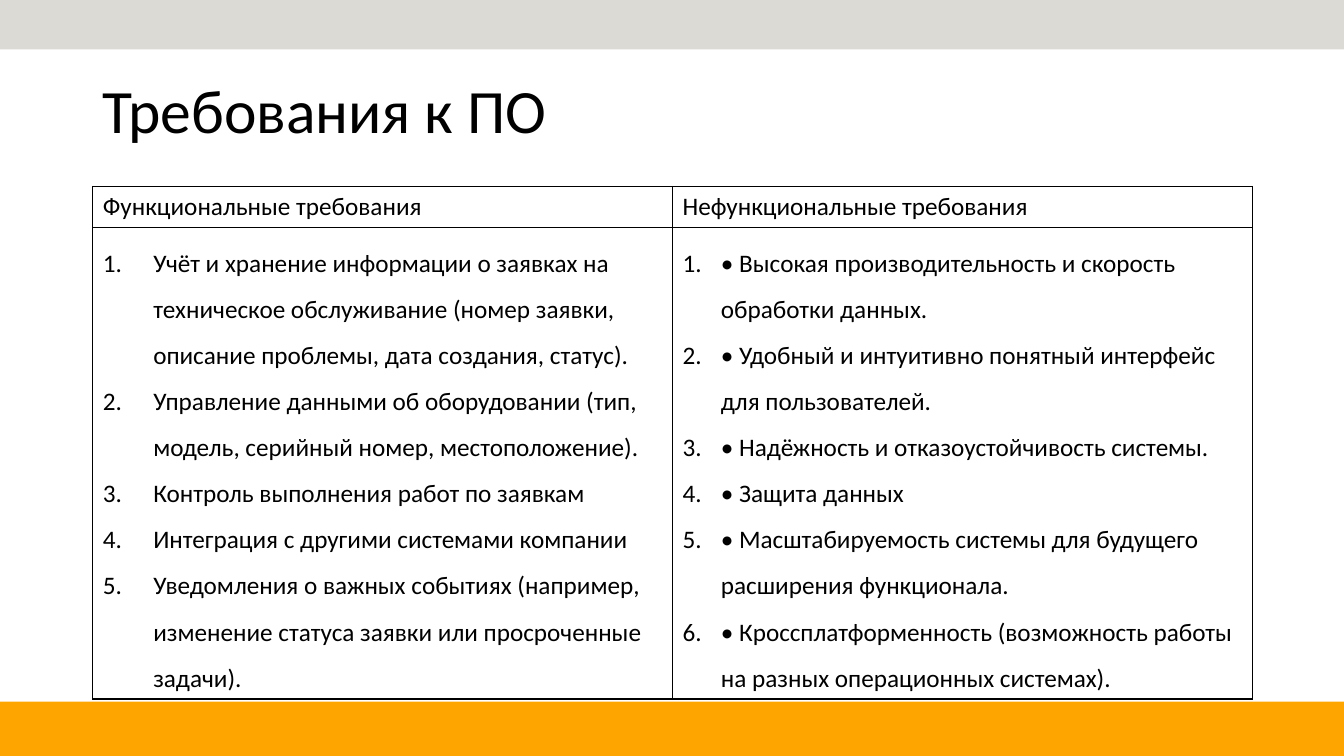
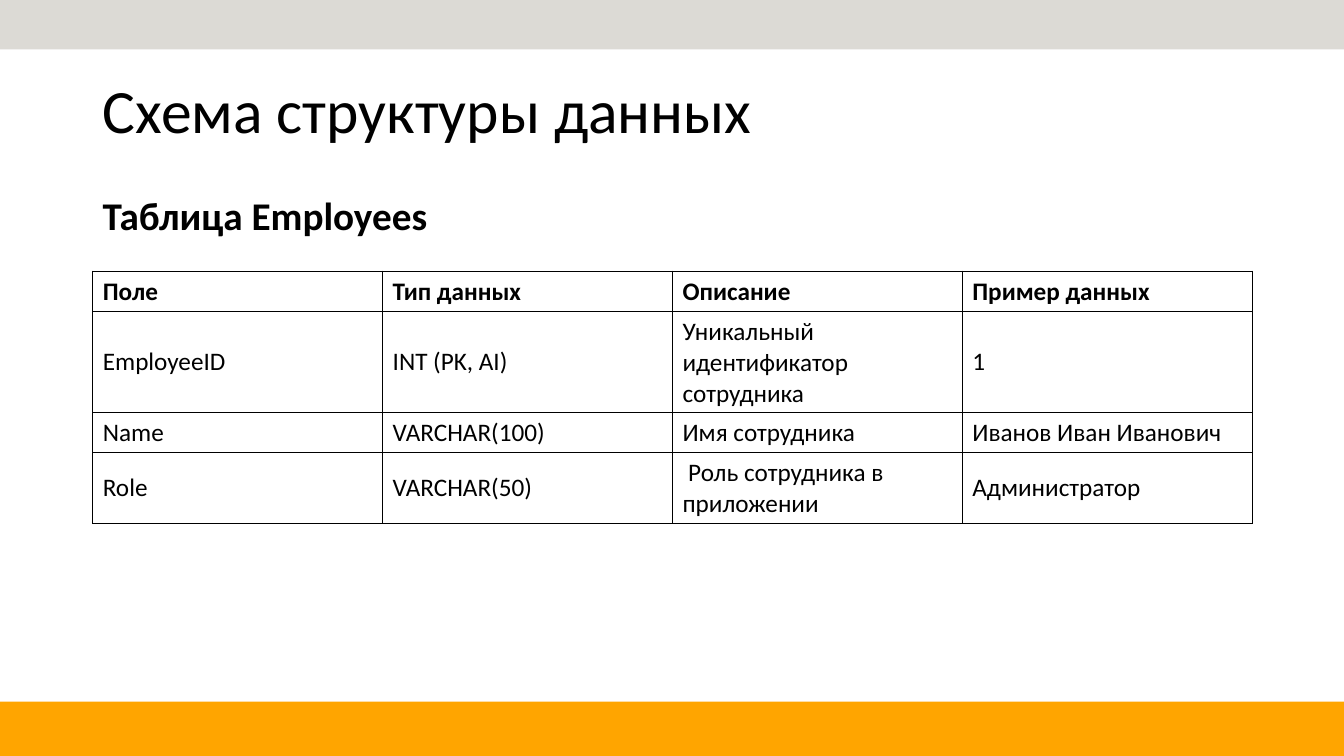
"""Build two slides with software requirements and a data table."""
from dataclasses import dataclass
from typing import Any

from lxml import etree
from pptx import Presentation
from pptx.dml.color import RGBColor
from pptx.enum.shapes import MSO_SHAPE
from pptx.enum.text import MSO_ANCHOR, MSO_AUTO_SIZE, PP_ALIGN
from pptx.oxml.ns import qn
from pptx.util import Inches, Pt

RECTANGLE = MSO_SHAPE.RECTANGLE
TOP, MIDDLE = MSO_ANCHOR.TOP, MSO_ANCHOR.MIDDLE
LEFT, JUSTIFY = PP_ALIGN.LEFT, PP_ALIGN.JUSTIFY
NO_AUTOFIT = MSO_AUTO_SIZE.NONE
TITLE_ONLY = 5

COLORS = {"text": "000000", "border": "000000", "header": "DCDAD5", "footer": "FFA500"}
SLIDE_WIDTH, SLIDE_HEIGHT = 13.33, 7.5
MARGIN, CONTENT_WIDTH = 0.92, 11.5

TITLE_FORMAT = {"name": "Calibri", "size": Pt(44), "bold": False}
HEADING_FORMAT = {"name": "Calibri", "size": Pt(28), "bold": True}
CELL_FORMAT = {"name": "Calibri", "size": Pt(18), "bold": False}
CELL_HEADER_FORMAT = CELL_FORMAT | {"bold": True}


@dataclass(frozen=True)
class Band:
    top: float
    height: float
    color: str


@dataclass(frozen=True)
class NumberedList:
    indent: float
    items: tuple[str, ...]


@dataclass(frozen=True)
class TableContent:
    top: float
    row_heights: tuple[float, ...]
    rows: tuple[tuple[str | NumberedList, ...], ...]
    anchor: Any
    header_format: dict[str, Any]


BANDS = (Band(6.96, 0.54, "footer"), Band(0, 0.49, "header"))

REQUIREMENTS = TableContent(
    top=1.85,
    row_heights=(0.41, 4.67),
    rows=(
        ("Функциональные требования", "Нефункциональные требования"),
        (
            NumberedList(0.5, (
                "Учёт и хранение информации о заявках на техническое обслуживание "
                "(номер заявки, описание проблемы, дата создания, статус).",
                "Управление данными об оборудовании (тип, модель, серийный номер, местоположение).",
                "Контроль выполнения работ по заявкам",
                "Интеграция с другими системами компании",
                "Уведомления о важных событиях (например, изменение статуса заявки "
                "или просроченные задачи).",
            )),
            NumberedList(0.38, (
                "• Высокая производительность и скорость обработки данных.",
                "• Удобный и интуитивно понятный интерфейс для пользователей.",
                "• Надёжность и отказоустойчивость системы.",
                "• Защита данных",
                "• Масштабируемость системы для будущего расширения функционала.",
                "• Кроссплатформенность (возможность работы на разных операционных системах).",
            )),
        ),
    ),
    anchor=TOP,
    header_format=CELL_FORMAT,
)

EMPLOYEES = TableContent(
    top=2.69,
    row_heights=(0.4, 1, 0.4, 0.7),
    rows=(
        ("Поле", "Тип данных", "Описание", "Пример данных"),
        ("EmployeeID", "INT (PK, AI)", "Уникальный идентификатор сотрудника", "1"),
        ("Name", "VARCHAR(100)", "Имя сотрудника", "Иванов Иван Иванович"),
        ("Role", "VARCHAR(50)", " Роль сотрудника в приложении", "Администратор"),
    ),
    anchor=MIDDLE,
    header_format=CELL_HEADER_FORMAT,
)


def write_text(para: Any, text: str, text_format: dict[str, Any]) -> None:
    span = para.add_run()
    span.text = text
    for name, value in text_format.items():
        setattr(span.font, name, value)
    span.font.color.rgb = RGBColor.from_string(COLORS["text"])


def write_list(frame: Any, numbered: NumberedList) -> None:
    for index, item in enumerate(numbered.items):
        para = frame.add_paragraph() if index else frame.paragraphs[0]
        para.line_spacing = 1.5
        write_text(para, item, CELL_FORMAT)
        properties = para._p.get_or_add_pPr()
        properties.set("marL", str(Inches(numbered.indent)))
        properties.set("indent", str(-Inches(numbered.indent)))
        etree.SubElement(properties, qn("a:buAutoNum"), type="arabicPeriod")


def style_cell(cell: Any) -> None:
    properties = cell._tc.get_or_add_tcPr()
    for side in ("lnL", "lnR", "lnT", "lnB"):
        border = etree.SubElement(properties, qn(f"a:{side}"), w=str(Pt(1)))
        fill = etree.SubElement(border, qn("a:solidFill"))
        etree.SubElement(fill, qn("a:srgbClr"), val=COLORS["border"])
    cell.fill.background()


def add_table(page: Any, content: TableContent) -> None:
    column_count = len(content.rows[0])
    table = page.shapes.add_table(
        len(content.rows), column_count, Inches(MARGIN), Inches(content.top),
        Inches(CONTENT_WIDTH), Inches(sum(content.row_heights)),
    ).table
    table.first_row = table.horz_banding = False
    for column in table.columns:
        column.width = Inches(CONTENT_WIDTH / column_count)
    for row_index, (height, values) in enumerate(zip(content.row_heights, content.rows)):
        table.rows[row_index].height = Inches(height)
        text_format = CELL_FORMAT if row_index else content.header_format
        for column_index, value in enumerate(values):
            cell = table.cell(row_index, column_index)
            cell.vertical_anchor = content.anchor
            style_cell(cell)
            if isinstance(value, NumberedList):
                write_list(cell.text_frame, value)
            else:
                write_text(cell.text_frame.paragraphs[0], value, text_format)


def add_heading(page: Any, text: str) -> None:
    box = page.shapes.add_textbox(Inches(MARGIN), Inches(1.85), Inches(11.9), Inches(0.57))
    box.text_frame.word_wrap = True
    para = box.text_frame.paragraphs[0]
    para.alignment = JUSTIFY
    write_text(para, text, HEADING_FORMAT)


def add_bands(page: Any) -> None:
    for band in BANDS:
        shape = page.shapes.add_shape(
            RECTANGLE, 0, Inches(band.top), Inches(SLIDE_WIDTH), Inches(band.height)
        )
        shape.shadow.inherit = False
        shape.fill.solid()
        shape.fill.fore_color.rgb = RGBColor.from_string(COLORS[band.color])
        shape.line.fill.background()


def add_page(deck: Any, title: str, content: TableContent, heading: str = "") -> None:
    page = deck.slides.add_slide(deck.slide_layouts[TITLE_ONLY])
    box = page.shapes.title
    box.left, box.top = Inches(MARGIN), Inches(0.4)
    box.width, box.height = Inches(CONTENT_WIDTH), Inches(1.45)
    frame = box.text_frame
    frame.auto_size = NO_AUTOFIT
    frame.vertical_anchor = MIDDLE
    para = frame.paragraphs[0]
    para.alignment = LEFT
    para.line_spacing = 0.9
    write_text(para, title, TITLE_FORMAT)
    if heading:
        add_heading(page, heading)
    add_table(page, content)
    add_bands(page)


def main() -> None:
    deck = Presentation()
    deck.slide_width, deck.slide_height = Inches(SLIDE_WIDTH), Inches(SLIDE_HEIGHT)
    add_page(deck, "Требования к ПО", REQUIREMENTS)
    add_page(deck, "Схема структуры данных", EMPLOYEES, "Таблица Employees")
    deck.save("out.pptx")


if __name__ == "__main__":
    main()
